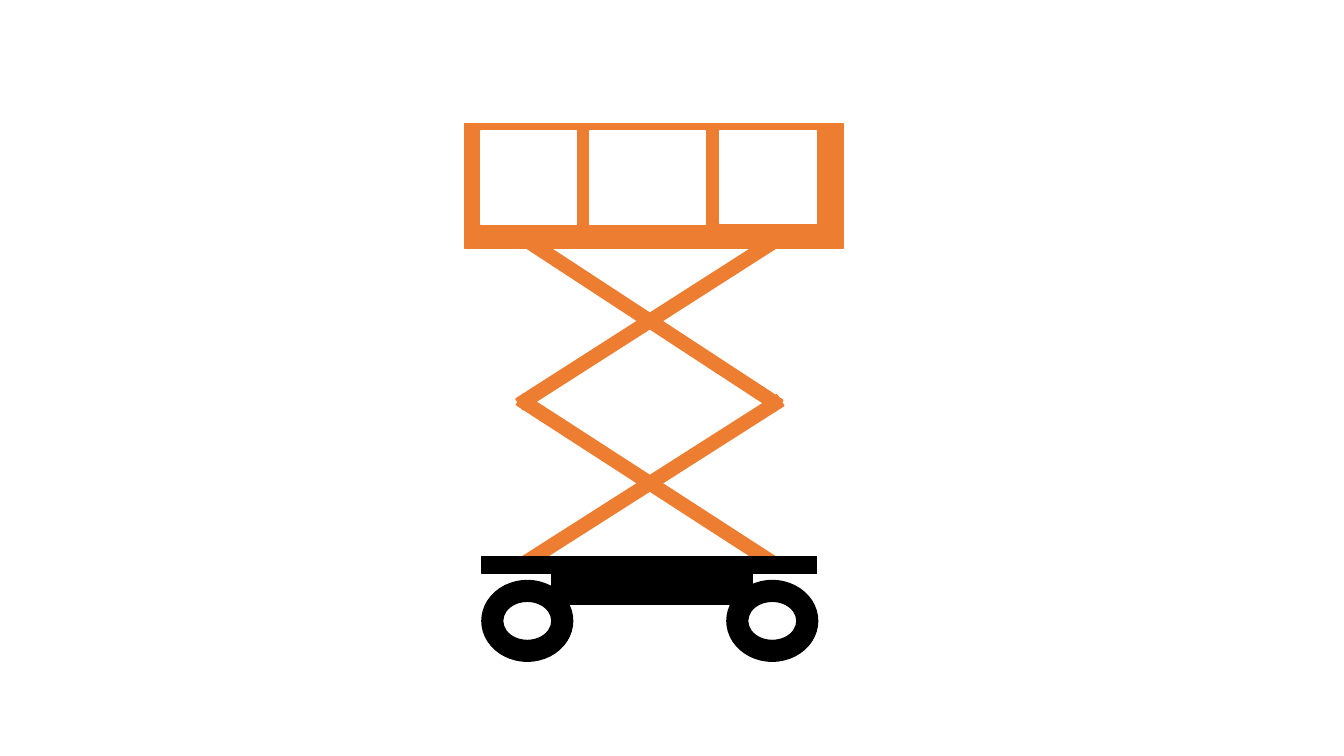
from pptx import Presentation
from pptx.dml.color import RGBColor
from pptx.enum.shapes import MSO_SHAPE
from pptx.util import Pt

RECT, DONUT = MSO_SHAPE.RECTANGLE, MSO_SHAPE.DONUT
ORANGE = RGBColor(0xED, 0x7D, 0x31)
BLACK = RGBColor(0x00, 0x00, 0x00)
WHITE = RGBColor(0xFF, 0xFF, 0xFF)
PX = 9144  # 100 px to the inch


def add_part(slide, kind, box, color, rotation=0):
    sp = slide.shapes.add_shape(kind, *(v * PX for v in box))
    sp.shadow.inherit = False
    sp.fill.solid()
    sp.fill.fore_color.rgb = color
    sp.line.color.rgb = color
    sp.line.width = Pt(1)
    sp.rotation = rotation
    return sp


def add_scissor(slide, box, angles):
    """Two arms crossing at the middle of the box."""
    for angle in angles:
        add_part(slide, RECT, box, ORANGE, angle)


def add_base(slide, box):
    """Deck, motor housing and a wheel at each end."""
    x, y, w, h = box
    wheel_w, wheel_h = 90, 80
    add_part(slide, RECT, (x + 69, y, 199, 48), BLACK)
    add_part(slide, RECT, (x, y, w, 17), BLACK)
    for left in (x, x + w - wheel_w + 1):
        wheel = add_part(slide, DONUT, (left, y + h - wheel_h, wheel_w, wheel_h), BLACK)
        wheel.adjustments[0] = 0.257


def add_platform(slide, box):
    """Guard rail with three openings."""
    x, y, w, h = box
    add_part(slide, RECT, box, ORANGE)
    for dx, width, height in ((16, 95, 93), (124, 115, 93), (253, 96, 92)):
        add_part(slide, RECT, (x + dx, y + 7, width, height), WHITE)


def main():
    prs = Presentation()
    prs.slide_width, prs.slide_height = 1333 * PX, 750 * PX
    slide = prs.slides.add_slide(prs.slide_layouts[6])

    # Scissor lift, from the ground up
    add_scissor(slide, (491, 473, 307, 13), (327.5, 32.9))
    add_base(slide, (478, 552, 332, 104))
    add_scissor(slide, (491, 312, 307, 13), (33.2, 327.4))
    add_platform(slide, (461, 123, 376, 123))

    prs.save("out.pptx")


if __name__ == "__main__":
    main()
